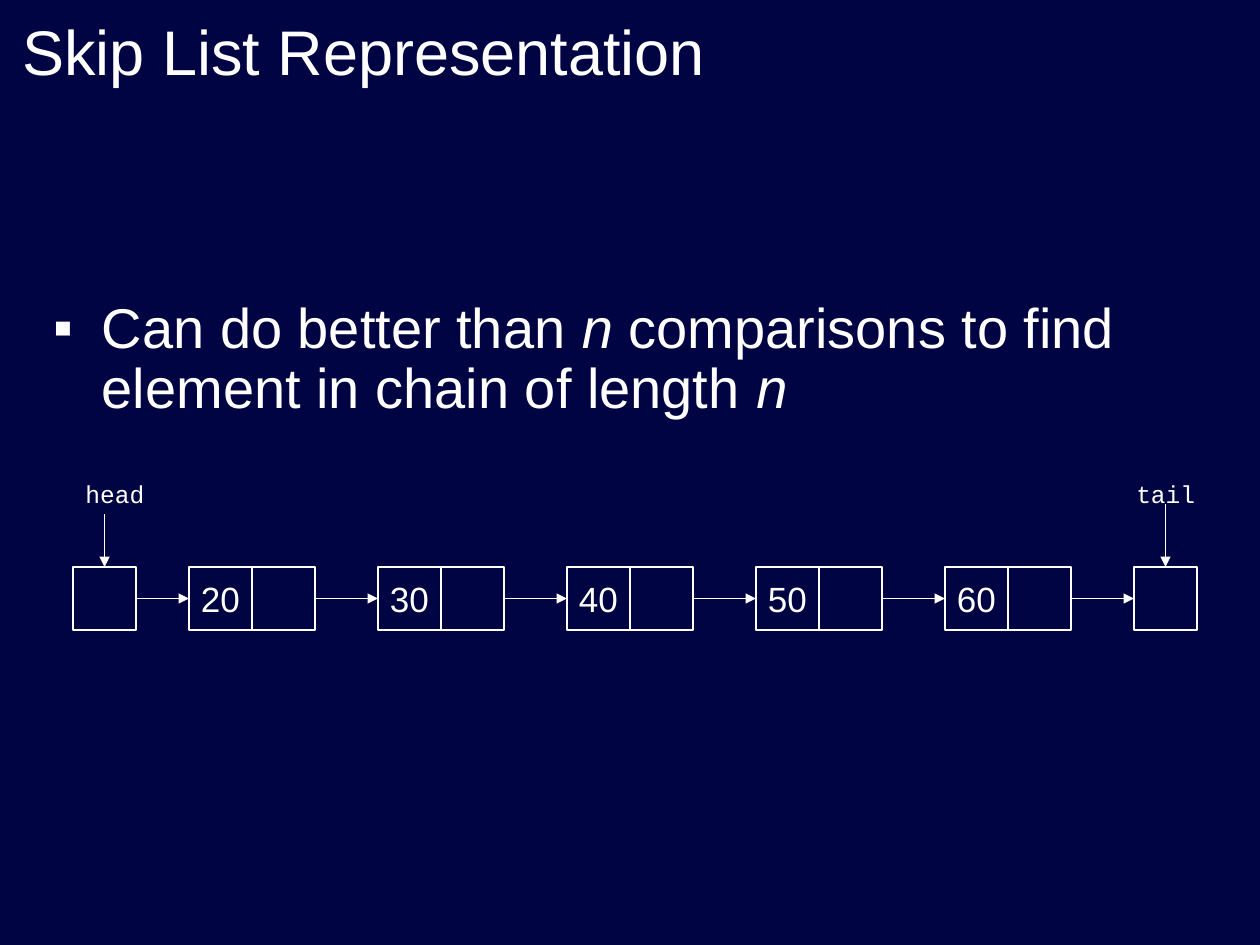
from lxml import etree
from pptx import Presentation
from pptx.dml.color import RGBColor
from pptx.enum.shapes import MSO_CONNECTOR, MSO_SHAPE
from pptx.enum.text import MSO_ANCHOR, PP_ALIGN
from pptx.oxml.ns import qn
from pptx.util import Inches, Pt

RECT = MSO_SHAPE.RECTANGLE
LINE = MSO_CONNECTOR.STRAIGHT
TOP, MIDDLE, BOTTOM = MSO_ANCHOR.TOP, MSO_ANCHOR.MIDDLE, MSO_ANCHOR.BOTTOM
CENTER = PP_ALIGN.CENTER
NAVY = RGBColor(0x01, 0x04, 0x42)
WHITE = RGBColor(0xFF, 0xFF, 0xFF)

TITLE = "Skip List Representation"
POINT = [
    ("Can do better than ", False),
    ("n", True),
    (" comparisons to find element in chain of length ", False),
    ("n", True),
]
KEYS = ["20", "30", "40", "50", "60"]

# Chain grid, in inches
CELL = 0.5
ROW = 4.5
MID = ROW + CELL / 2
FIRST, STEP = 1.5, 4 * CELL - 0.5
HEAD, TAIL = 0.58, 9
# label, label left, arrow x, arrow top
ENDS = [("head", HEAD, HEAD + CELL / 2, 4.08),
        ("tail", 8.92, TAIL + CELL / 2, 4)]

deck = Presentation()
deck.slide_width, deck.slide_height = Inches(10), Inches(7.5)
slide = deck.slides.add_slide(deck.slide_layouts[6])
slide.background.fill.solid()
slide.background.fill.fore_color.rgb = NAVY


def add_run(para, text, size, font="Arial", italic=False):
    run = para.add_run()
    run.text = text
    run.font.name = font
    run.font.size = Pt(size)
    run.font.italic = italic
    run.font.color.rgb = WHITE


def add_text(left, top, width, height, anchor=TOP, wrap=True):
    """Add an empty text box and return its first paragraph."""
    box = slide.shapes.add_textbox(*map(Inches, (left, top, width, height)))
    frame = box.text_frame
    frame.word_wrap = wrap
    frame.vertical_anchor = anchor
    return frame.paragraphs[0]


def add_bullet(para, mark, indent):
    props = para._p.get_or_add_pPr()
    props.set("marL", str(Inches(indent)))
    props.set("indent", str(-Inches(indent)))
    tint = etree.SubElement(props, qn("a:buClr"))
    etree.SubElement(tint, qn("a:srgbClr"), val=str(WHITE))
    etree.SubElement(props, qn("a:buFont"), typeface="Arial")
    etree.SubElement(props, qn("a:buChar"), char=mark)


def add_cell(left, key=None):
    cell = slide.shapes.add_shape(
        RECT, *map(Inches, (left, ROW, CELL, CELL)))
    cell.shadow.inherit = False
    cell.fill.background()
    cell.line.color.rgb = WHITE
    cell.line.width = Pt(0.75)
    if key:
        frame = cell.text_frame
        frame.word_wrap = False
        frame.vertical_anchor = MIDDLE
        para = frame.paragraphs[0]
        para.alignment = CENTER
        add_run(para, key, 20)


def add_arrow(*ends):
    arrow = slide.shapes.add_connector(LINE, *map(Inches, ends))
    arrow.line.color.rgb = WHITE
    arrow.line.width = Pt(0.75)
    etree.SubElement(arrow.line._get_or_add_ln(), qn("a:tailEnd"),
                     type="triangle")
    etree.SubElement(arrow._element.spPr, qn("a:effectLst"))


add_run(add_text(0.08, 0.08, 9.06, 0.67, BOTTOM), TITLE, 36)

para = add_text(0.33, 2.33, 9.25, 1.11)
para.line_spacing = 0.9
para.space_before = Pt(8)
add_bullet(para, "▪", 0.38)
for text, italic in POINT:
    add_run(para, text, 32, italic=italic)

nodes = [FIRST + i * STEP for i in range(len(KEYS))]
for left, key in zip(nodes, KEYS):
    add_cell(left, key)
    add_cell(left + CELL)
for left in (HEAD, TAIL):
    add_cell(left)

exits = [HEAD + CELL] + [left + 2 * CELL for left in nodes]
for start, end in zip(exits, nodes + [TAIL]):
    add_arrow(start, MID, end, MID)

for label, left, x, top in ENDS:
    add_run(add_text(left, 3.75, 0.67, 0.34, wrap=False),
            label, 14, "Courier New")
    add_arrow(x, top, x, ROW)

deck.save("out.pptx")
